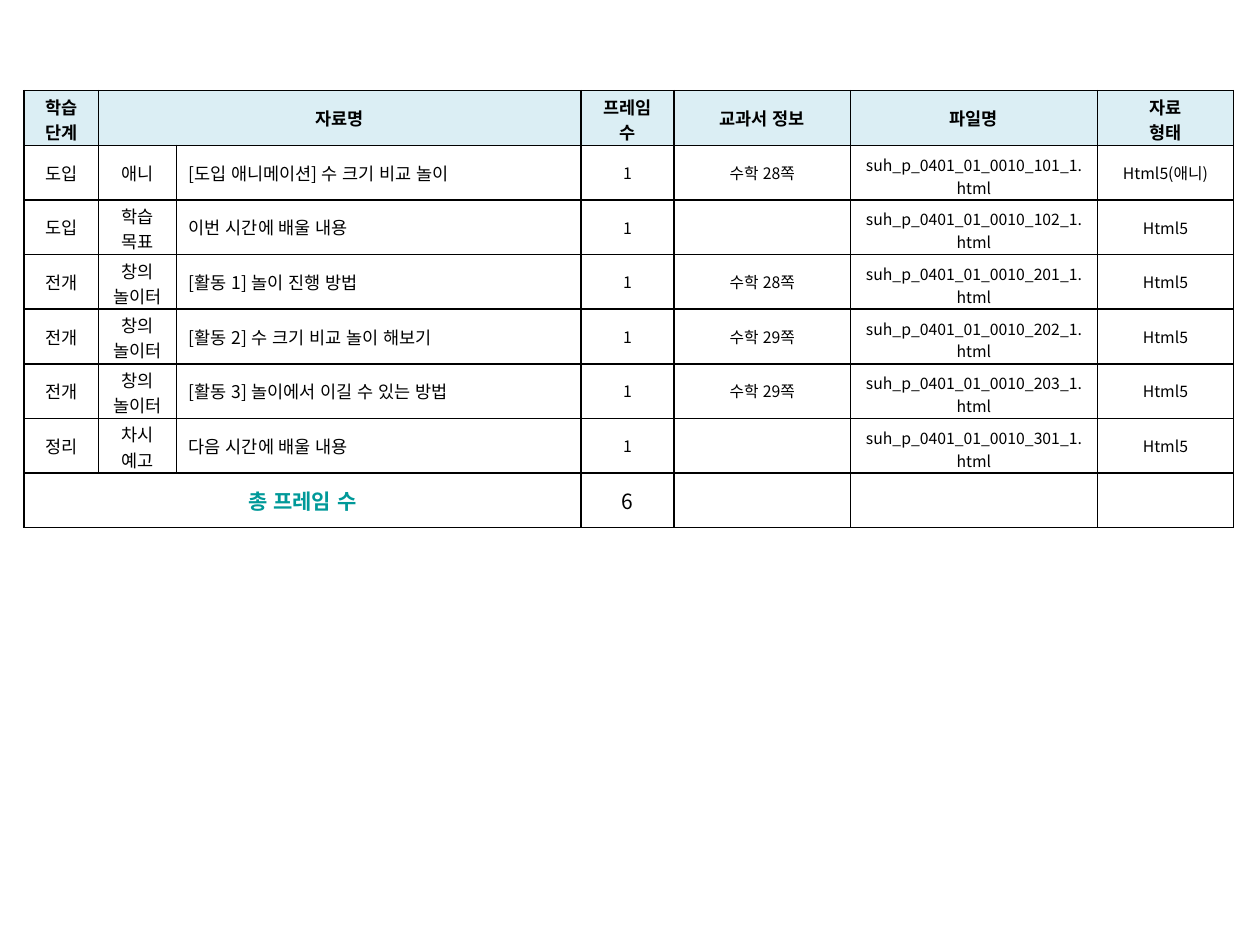
from lxml.etree import SubElement
from pptx import Presentation
from pptx.dml.color import RGBColor
from pptx.enum.lang import MSO_LANGUAGE_ID as Language
from pptx.enum.text import MSO_ANCHOR as Anchor, PP_ALIGN as Align
from pptx.oxml.ns import qn
from pptx.util import Inches, Pt

FONT = "Noto Sans CJK KR"
COLORS = {"text": "000000", "border": "000000", "header": "DBEEF4", "total": "009999"}

HEADER = ["학습 단계", "자료명", "", "프레임 수", "교과서 정보", "파일명", "자료\n형태"]
# Stage, section, title, textbook page, file number, format
LESSONS = [
    ("도입", "애니", "[도입 애니메이션] 수 크기 비교 놀이", "수학 28쪽", 101, "Html5(애니)"),
    ("도입", "학습 목표", "이번 시간에 배울 내용", "", 102, "Html5"),
    ("전개", "창의\n놀이터", "[활동 1] 놀이 진행 방법", "수학 28쪽", 201, "Html5"),
    ("전개", "창의\n놀이터", "[활동 2] 수 크기 비교 놀이 해보기", "수학 29쪽", 202, "Html5"),
    ("전개", "창의\n놀이터", "[활동 3] 놀이에서 이길 수 있는 방법", "수학 29쪽", 203, "Html5"),
    ("정리", "차시 예고", "다음 시간에 배울 내용", "", 301, "Html5"),
]
TOTAL = ["총 프레임 수", "", "", str(len(LESSONS)), "", "", ""]

COLUMN_WIDTHS = [0.59, 0.62, 3.21, 0.74, 1.4, 1.96, 1.08]
LEFT, TOP, HEIGHT = 0.19, 0.72, 3.47
TITLE_COLUMN, FIRST_SMALL_COLUMN = 2, 3
# Two-line cells only fit their row with narrow vertical margins
TIGHT_TOP, TIGHT_BOTTOM = 0.02, 0
TWO_LINE_TEXTS = {"학습 단계", "프레임 수", "학습 목표", "차시 예고"}


def set_borders(cell):
    properties = cell._tc.get_or_add_tcPr()
    for index, side in enumerate(("lnL", "lnR", "lnT", "lnB")):
        line = properties.makeelement(qn(f"a:{side}"), {"w": str(Pt(1))})
        fill = SubElement(line, qn("a:solidFill"))
        SubElement(fill, qn("a:srgbClr"), val=COLORS["border"])
        properties.insert(index, line)


def write_cell(cell, text, size, bold=False, color="text", align=Align.CENTER, fill=None):
    cell.vertical_anchor = Anchor.MIDDLE
    if "\n" in text or text in TWO_LINE_TEXTS:
        cell.margin_top, cell.margin_bottom = Inches(TIGHT_TOP), Inches(TIGHT_BOTTOM)
    elif text.endswith(".html"):
        cell.margin_top, cell.margin_bottom = Inches(0.05), Inches(0)
    if fill:
        cell.fill.solid()
        cell.fill.fore_color.rgb = RGBColor.from_string(COLORS[fill])
    else:
        cell.fill.background()
    set_borders(cell)
    for index, line in enumerate(text.split("\n") if text else []):
        frame = cell.text_frame
        paragraph = frame.add_paragraph() if index else frame.paragraphs[0]
        paragraph.alignment = align
        run = paragraph.add_run()
        run.text = line
        run.font.size = Pt(size)
        run.font.bold = bold
        run.font.language_id = Language.KOREAN
        run.font.color.rgb = RGBColor.from_string(COLORS[color])
        run.font.name = FONT
        SubElement(run.font._element, qn("a:ea"), typeface=FONT)


def main():
    presentation = Presentation()
    presentation.slide_width, presentation.slide_height = Inches(10), Inches(7.5)
    slide = presentation.slides.add_slide(presentation.slide_layouts[6])

    row_count = len(LESSONS) + 2
    table = slide.shapes.add_table(
        row_count, len(COLUMN_WIDTHS), Inches(LEFT), Inches(TOP),
        Inches(sum(COLUMN_WIDTHS)), Inches(HEIGHT),
    ).table
    table.first_row = table.horz_banding = False
    for column, width in zip(table.columns, COLUMN_WIDTHS):
        column.width = Inches(width)
    for row in table.rows:
        row.height = Inches(HEIGHT / row_count)

    last = row_count - 1
    table.cell(0, 1).merge(table.cell(0, 2))
    table.cell(last, 0).merge(table.cell(last, 2))

    for column, text in enumerate(HEADER):
        write_cell(table.cell(0, column), text, 10, bold=True, fill="header")
    for row, (stage, section, title, page, number, kind) in enumerate(LESSONS, start=1):
        file_name = f"suh_p_0401_01_0010_{number}_1.html"
        for column, text in enumerate((stage, section, title, "1", page, file_name, kind)):
            write_cell(
                table.cell(row, column), text,
                size=9 if column >= FIRST_SMALL_COLUMN else 10,
                align=Align.LEFT if column == TITLE_COLUMN else Align.CENTER,
            )
    for column, text in enumerate(TOTAL):
        is_label = column == 0
        write_cell(table.cell(last, column), text, 12, bold=is_label,
                   color="total" if is_label else "text")

    presentation.save("out.pptx")


if __name__ == "__main__":
    main()
